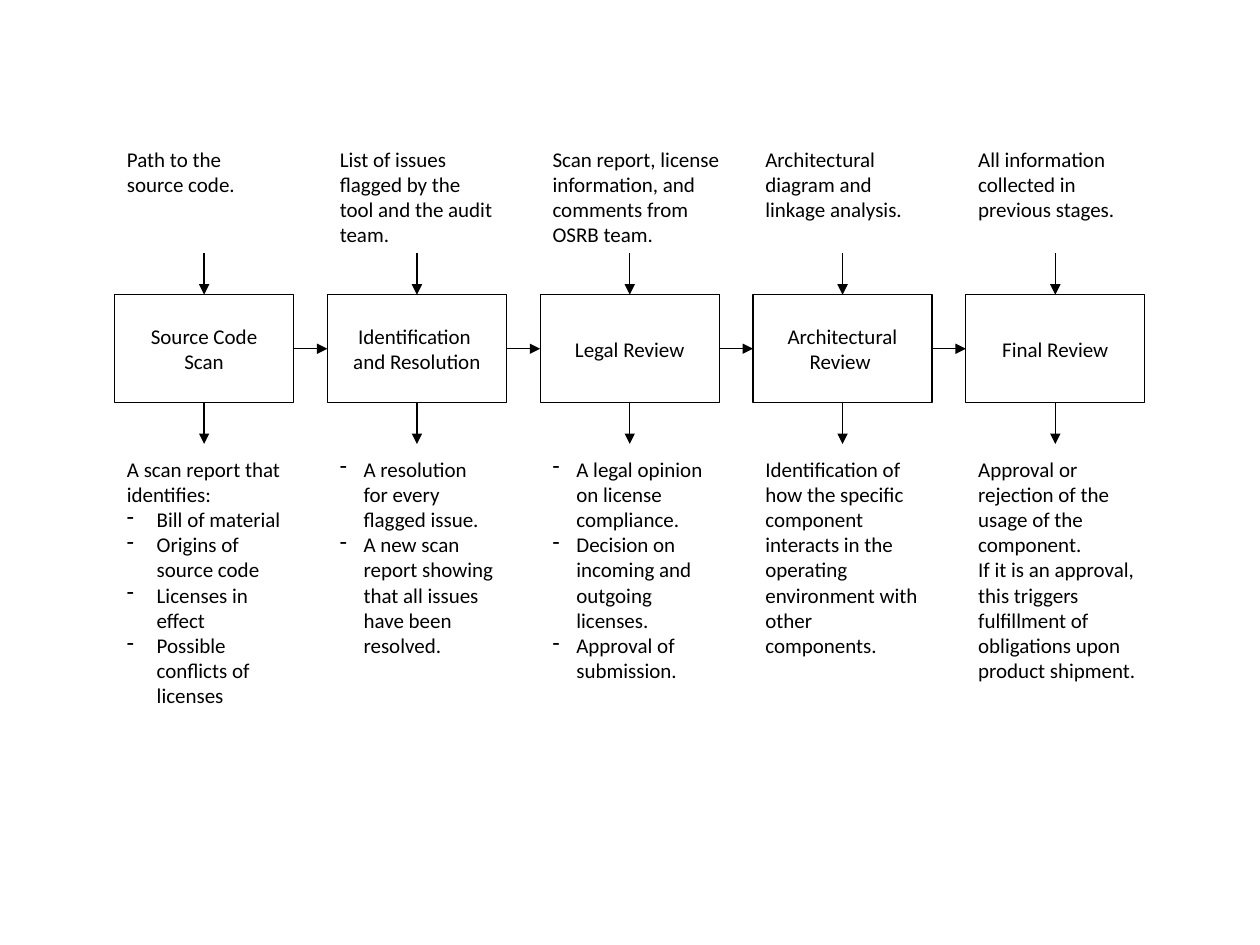
"""Builds a slide of the five review stages with their inputs and outputs."""
from dataclasses import dataclass

from lxml import etree
from pptx import Presentation
from pptx import util as u
from pptx.dml.color import RGBColor
from pptx.enum import shapes, text
from pptx.oxml.ns import qn


@dataclass(frozen=True)
class Theme:
    ink: RGBColor = RGBColor(0, 0, 0)
    font: str = "Calibri"
    body: u.Pt = u.Pt(12)
    rule: u.Pt = u.Pt(0.75)


@dataclass(frozen=True)
class Stage:
    title: tuple
    needs: tuple
    yields: tuple
    needs_width: float = 3.61
    yields_width: float = 3.61
    hang: float = 0.48


class Flow:
    def __init__(self, slide, theme):
        self.slide, self.theme = slide, theme

    def fill_text(self, frame, lines, align, hang=0):
        for index, line in enumerate(lines):
            paragraph = frame.paragraphs[0] if index == 0 else frame.add_paragraph()
            paragraph.alignment = align
            paragraph.text = line.removeprefix("- ")
            if line.startswith("- "):
                self.dash(paragraph, hang)
            paragraph.font.name = self.theme.font
            paragraph.font.size = self.theme.body
            paragraph.font.color.rgb = self.theme.ink

    def dash(self, paragraph, hang):
        properties = paragraph._p.get_or_add_pPr()
        properties.set("marL", str(u.Cm(hang)))
        properties.set("indent", str(-u.Cm(hang)))
        etree.SubElement(properties, qn("a:buChar")).set("char", "-")

    def box(self, left, top, width, height, lines):
        box = self.slide.shapes.add_shape(
            shapes.MSO_SHAPE.RECTANGLE, u.Cm(left), u.Cm(top), u.Cm(width), u.Cm(height))
        box.shadow.inherit = False
        box.fill.background()
        box.line.color.rgb = self.theme.ink
        box.line.width = self.theme.rule
        box.text_frame.word_wrap = False
        box.text_frame.vertical_anchor = text.MSO_ANCHOR.MIDDLE
        self.fill_text(box.text_frame, lines, text.PP_ALIGN.CENTER)

    def note(self, left, top, width, height, lines, hang):
        note = self.slide.shapes.add_textbox(u.Cm(left), u.Cm(top), u.Cm(width), u.Cm(height))
        note.text_frame.word_wrap = True
        note.text_frame.auto_size = text.MSO_AUTO_SIZE.SHAPE_TO_FIT_TEXT
        self.fill_text(note.text_frame, lines, text.PP_ALIGN.LEFT, hang)

    def arrow(self, x1, y1, x2, y2):
        arrow = self.slide.shapes.add_connector(
            shapes.MSO_CONNECTOR.STRAIGHT, u.Cm(x1), u.Cm(y1), u.Cm(x2), u.Cm(y2))
        arrow.line.color.rgb = self.theme.ink
        arrow.line.width = self.theme.rule
        etree.SubElement(arrow.line._get_or_add_ln(), qn("a:tailEnd")).set("type", "triangle")
        etree.SubElement(arrow._element.spPr, qn("a:effectLst"))


STAGES = [
    Stage(("Source Code", "Scan"),
          ("Path to the source code.",),
          ("A scan report that identifies:", "- Bill of material", "- Origins of source code",
           "- Licenses in effect", "- Possible conflicts of licenses"),
          hang=0.6),
    Stage(("Identification ", "and Resolution"),
          ("List of issues flagged by the tool and the audit team.",),
          ("- A resolution for every flagged issue.",
           "- A new scan report showing that all issues have been resolved.")),
    Stage(("Legal Review",),
          ("Scan report, license information, and", "comments from OSRB team."),
          ("- A legal opinion on license compliance.",
           "- Decision on incoming and outgoing licenses.", "- Approval of submission."),
          needs_width=3.89),
    Stage(("Architectural", "Review "),
          ("Architectural diagram and linkage analysis.",),
          ("Identification of how the specific component interacts in the operating "
           "environment with other components.",)),
    Stage(("Final Review",),
          ("All information collected in previous stages.",),
          ("Approval or rejection of the usage of the component.",
           "If it is an approval, this triggers fulfillment of obligations upon "
           "product shipment."),
          yields_width=3.86),
]

FIRST_LEFT, PITCH = 2.31, 4.29
BOX_TOP, BOX_WIDTH, BOX_HEIGHT = 5.94, 3.61, 2.18
BOX_BOTTOM = BOX_TOP + BOX_HEIGHT
ARROW_LENGTH = 0.83
NEEDS_TOP, NEEDS_HEIGHT = 2.82, 2.29
YIELDS_TOP, YIELDS_HEIGHT = 9.07, 4.32


def main():
    deck = Presentation()
    deck.slide_width, deck.slide_height = u.Cm(25.4), u.Cm(19.05)
    flow = Flow(deck.slides.add_slide(deck.slide_layouts[6]), Theme())
    for index, stage in enumerate(STAGES):
        left = FIRST_LEFT + index * PITCH
        center, middle = left + BOX_WIDTH / 2, BOX_TOP + BOX_HEIGHT / 2
        flow.note(left, NEEDS_TOP, stage.needs_width, NEEDS_HEIGHT, stage.needs, stage.hang)
        flow.arrow(center, BOX_TOP - ARROW_LENGTH, center, BOX_TOP)
        flow.box(left, BOX_TOP, BOX_WIDTH, BOX_HEIGHT, stage.title)
        flow.arrow(center, BOX_BOTTOM, center, BOX_BOTTOM + ARROW_LENGTH)
        flow.note(left, YIELDS_TOP, stage.yields_width, YIELDS_HEIGHT, stage.yields, stage.hang)
        if index:
            flow.arrow(left - PITCH + BOX_WIDTH, middle, left, middle)
    deck.save("out.pptx")


if __name__ == "__main__":
    main()
